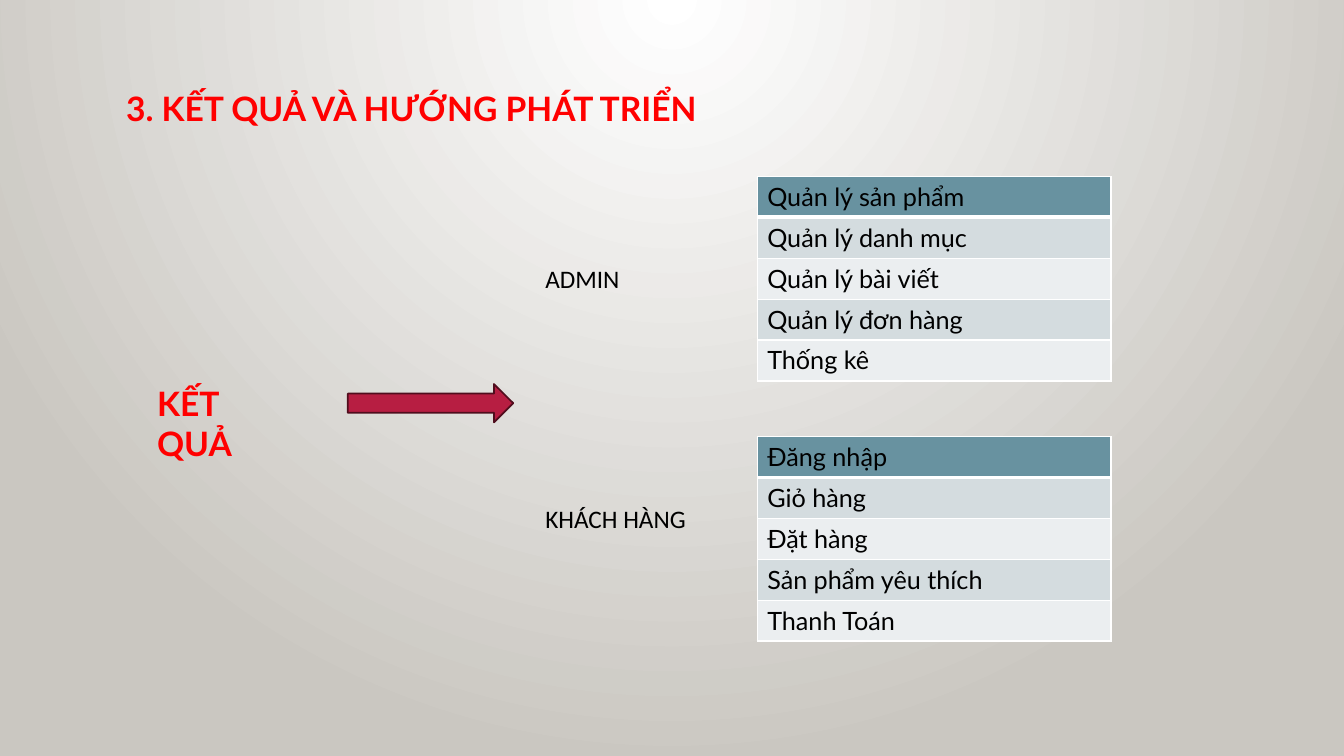
from lxml import etree
from pptx import Presentation
from pptx.dml.color import RGBColor
from pptx.enum.shapes import MSO_SHAPE
from pptx.enum.text import MSO_ANCHOR, PP_ALIGN
from pptx.oxml import parse_xml
from pptx.oxml.ns import nsdecls, qn
from pptx.util import Inches, Pt

RIGHT_ARROW = MSO_SHAPE.RIGHT_ARROW
TOP = MSO_ANCHOR.TOP
LEFT = PP_ALIGN.LEFT
TITLE_ONLY = 5

WHITE = RGBColor(0xFF, 0xFF, 0xFF)
BLACK = RGBColor(0x00, 0x00, 0x00)
RED = RGBColor(0xFF, 0x00, 0x00)
WARM_GREY = RGBColor(0xCA, 0xC7, 0xC1)
CRIMSON = RGBColor(0xB7, 0x1E, 0x42)
DARK_CRIMSON = RGBColor(0x50, 0x0D, 0x1D)
HEADER_TEAL = RGBColor(0x68, 0x92, 0xA0)
BAND_DARK = RGBColor(0xD4, 0xDC, 0xDF)
BAND_LIGHT = RGBColor(0xEB, 0xEE, 0xF0)


def write_text(text_frame, text, font_name, size, color, bold=False):
    text_frame.text = text
    paragraph = text_frame.paragraphs[0]
    paragraph.alignment = LEFT
    font = paragraph.runs[0].font
    font.name = font_name
    font.size = Pt(size)
    font.bold = bold
    font.color.rgb = color


def add_border(cell, side, points):
    border = parse_xml(
        f'<a:{side} {nsdecls("a")} w="{Pt(points)}"><a:solidFill>'
        f'<a:srgbClr val="{WHITE}"/></a:solidFill></a:{side}>'
    )
    cell._tc.get_or_add_tcPr().append(border)


presentation = Presentation()
presentation.slide_width = Inches(13.33)
presentation.slide_height = Inches(7.5)
slide = presentation.slides.add_slide(presentation.slide_layouts[TITLE_ONLY])

background = slide.background.fill
background.gradient()
for stop, color, position in zip(background.gradient_stops, (WHITE, WARM_GREY), (0, 1)):
    stop.color.rgb = color
    stop.position = position
linear = slide._element.find(".//" + qn("a:lin"))
gradient = linear.getparent()
gradient.remove(linear)
circle = etree.SubElement(gradient, qn("a:path"), {"path": "circle"})
etree.SubElement(
    circle, qn("a:fillToRect"), {"l": "43000", "t": "0", "r": "43000", "b": "100000"}
)

title = slide.shapes.title
title.left, title.top = Inches(1.15), Inches(0.82)
title.width, title.height = Inches(6.05), Inches(0.5)
title.text_frame.vertical_anchor = TOP
title.text_frame.word_wrap = False
write_text(title.text_frame, "3. KẾT QUẢ VÀ HƯỚNG PHÁT TRIỂN", "Lato", 24, RED, True)

labels = [
    ("KẾT QUẢ", 1.46, 3.75, 1.4, 0.5, "Lato", 24, RED, True),
    ("ADMIN", 5.31, 2.56, 1.02, 0.4, "Calibri", 18, BLACK, False),
    ("KHÁCH HÀNG", 5.31, 4.94, 1.89, 0.4, "Calibri", 18, BLACK, False),
]
for text, left, top, width, height, font_name, size, color, bold in labels:
    label = slide.shapes.add_textbox(Inches(left), Inches(top), Inches(width), Inches(height))
    label.text_frame.word_wrap = True
    write_text(label.text_frame, text, font_name, size, color, bold)

arrow = slide.shapes.add_shape(
    RIGHT_ARROW, Inches(3.45), Inches(3.81), Inches(1.64), Inches(0.38)
)
arrow.shadow.inherit = False
arrow.fill.solid()
arrow.fill.fore_color.rgb = CRIMSON
arrow.line.color.rgb = DARK_CRIMSON
arrow.line.width = Pt(1.25)

admin_features = [
    "Quản lý sản phẩm", "Quản lý danh mục", "Quản lý bài viết", "Quản lý đơn hàng", "Thống kê",
]
customer_features = ["Đăng nhập", "Giỏ hàng", "Đặt hàng", "Sản phẩm yêu thích", "Thanh Toán"]
for top, features in ((1.75, admin_features), (4.33, customer_features)):
    table = slide.shapes.add_table(
        len(features), 1, Inches(7.51), Inches(top), Inches(3.51), Inches(2.03)
    ).table
    for index, feature in enumerate(features):
        cell = table.cell(index, 0)
        write_text(cell.text_frame, feature, "Lato", 18, BLACK)
        add_border(cell, "lnL", 1)
        add_border(cell, "lnR", 1)
        add_border(cell, "lnT", 3 if index == 1 else 1)
        add_border(cell, "lnB", 3 if index == 0 else 1)
        cell.fill.solid()
        band = BAND_DARK if index % 2 else BAND_LIGHT
        cell.fill.fore_color.rgb = band if index else HEADER_TEAL

presentation.save("out.pptx")
